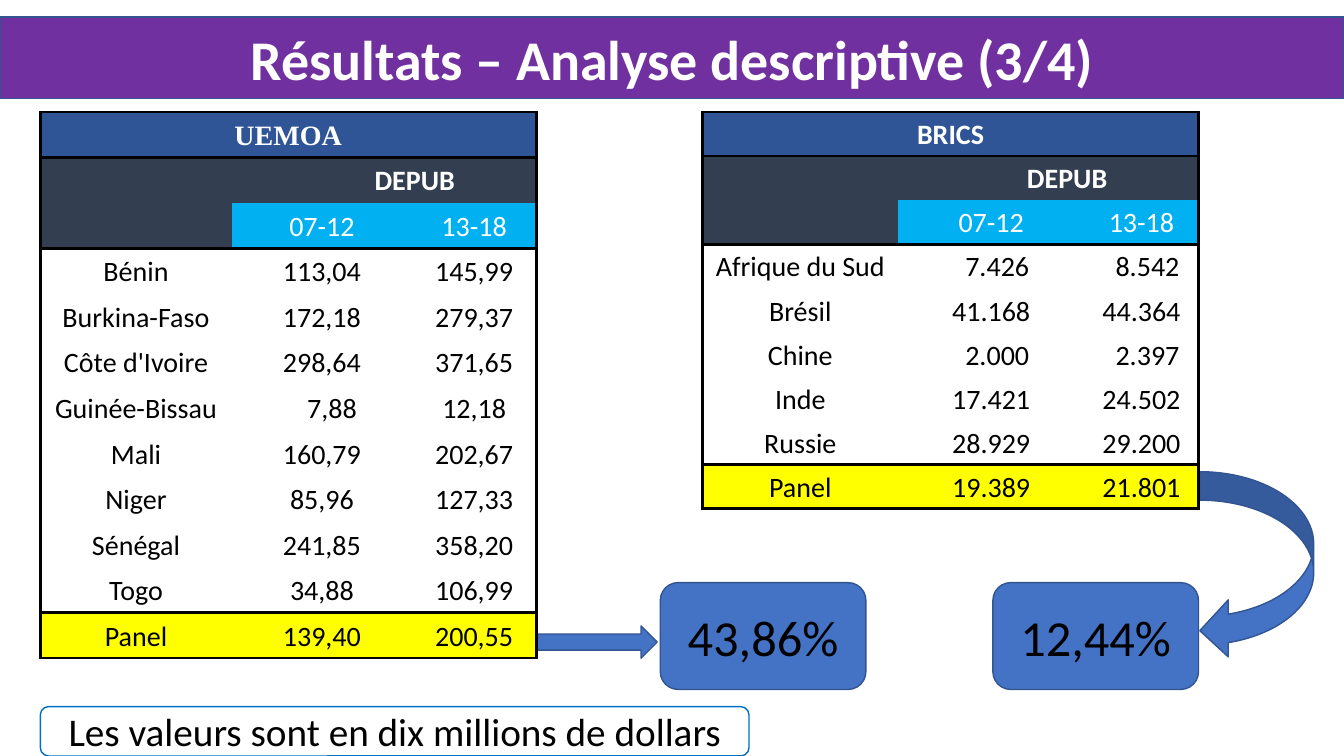
from lxml.etree import SubElement
from pptx import Presentation
from pptx.dml.color import RGBColor
from pptx.enum.shapes import MSO_SHAPE
from pptx.enum.text import MSO_ANCHOR, PP_ALIGN
from pptx.oxml.ns import qn
from pptx.util import Inches, Pt

WIDTH, HEIGHT = Inches(13.33), Inches(7.5)
FONT, SERIF = "Calibri", "Times New Roman"

WHITE = RGBColor(0xFF, 0xFF, 0xFF)
BLACK = RGBColor(0x00, 0x00, 0x00)
PURPLE = RGBColor(0x70, 0x30, 0xA0)
BLUE = RGBColor(0x44, 0x72, 0xC4)
OUTLINE = RGBColor(0x32, 0x54, 0x91)
NOTE_LINE = RGBColor(0x00, 0x70, 0xC0)
HEADING = RGBColor(0x2F, 0x55, 0x97)
SLATE = RGBColor(0x33, 0x3F, 0x50)
CYAN = RGBColor(0x00, 0xB0, 0xF0)
YELLOW = RGBColor(0xFF, 0xFF, 0x00)

PERIODS = ["", "07-12", "13-18"]
UEMOA = [
    ["Bénin", "113,04", "145,99"],
    ["Burkina-Faso", "172,18", "279,37"],
    ["Côte d'Ivoire", "298,64", "371,65"],
    ["Guinée-Bissau", "7,88", "12,18"],
    ["Mali", "160,79", "202,67"],
    ["Niger", "85,96", "127,33"],
    ["Sénégal", "241,85", "358,20"],
    ["Togo", "34,88", "106,99"],
    ["Panel", "139,40", "200,55"],
]
BRICS = [
    ["Afrique du Sud", "7.426", "8.542"],
    ["Brésil", "41.168", "44.364"],
    ["Chine", "2.000", "2.397"],
    ["Inde", "17.421", "24.502"],
    ["Russie", "28.929", "29.200"],
    ["Panel", "19.389", "21.801"],
]


def area(left, top, width, height):
    """Turn percentages of the slide into lengths."""
    return (int(WIDTH * left / 100), int(HEIGHT * top / 100),
            int(WIDTH * width / 100), int(HEIGHT * height / 100))


def write(frame, text, size, color, bold=False, font=FONT):
    para = frame.paragraphs[0]
    para.alignment = PP_ALIGN.CENTER
    span = para.add_run()
    span.text = text
    span.font.name, span.font.size, span.font.bold = font, Pt(size), bold
    span.font.color.rgb = color
    return para


def indent(para, length):
    properties = para._p.get_or_add_pPr()
    properties.set("marL", str(int(length)))
    properties.set("indent", "0")


def paint(shape, fill, line):
    if fill is None:
        shape.fill.background()
    else:
        shape.fill.solid()
        shape.fill.fore_color.rgb = fill
    shape.line.color.rgb = line
    shape.line.width = Pt(1)


def add_title(page, text, place):
    title = page.shapes.title
    title.left, title.top, title.width, title.height = place
    paint(title, PURPLE, OUTLINE)
    title.text_frame.vertical_anchor = MSO_ANCHOR.MIDDLE
    write(title.text_frame, text, 40, WHITE, bold=True)


def add_box(page, kind, place, text="", size=36, fill=BLUE, line=OUTLINE):
    box = page.shapes.add_shape(kind, *place)
    box.shadow.inherit = False
    paint(box, fill, line)
    if text:
        box.text_frame.word_wrap = True
        box.text_frame.vertical_anchor = MSO_ANCHOR.MIDDLE
        write(box.text_frame, text, size, BLACK)


def set_borders(cell, drawn):
    """Draw the named sides in black and clear the others."""
    properties = cell._tc.get_or_add_tcPr()
    for side in "LRTB":
        line = SubElement(properties, qn(f"a:ln{side}"), w=str(Pt(2.25)))
        if side in drawn:
            solid = SubElement(line, qn("a:solidFill"))
            SubElement(solid, qn("a:srgbClr"), val=str(BLACK))
        else:
            SubElement(line, qn("a:noFill"))


def cell_fill(row, column, last):
    if row == 0:
        return HEADING
    if row == 1 or (row == 2 and column == 0):
        return SLATE
    if row == 2:
        return CYAN
    return YELLOW if row == last else None


def add_data_table(page, name, data, place, shares, depub_indent,
                   digit_indent, name_font=FONT):
    rows = [[name, "", ""], ["DEPUB", "", ""], PERIODS, *data]
    last = len(rows) - 1
    table = page.shapes.add_table(len(rows), 3, *place).table
    table.first_row = table.horz_banding = False
    for column, share in zip(table.columns, shares):
        column.width = int(place[2] * share)
    for row in table.rows:
        row.height = place[3] // len(rows)

    # Rules lie under the name, the periods and the last country
    ruled = {0, 2, last - 1, last}
    for r, values in enumerate(rows):
        for c, text in enumerate(values):
            cell = table.cell(r, c)
            # The two merged rows reach the right edge from their first cell
            sides = "L" if c == 0 else ""
            sides += "R" if c == 2 or r < 2 else ""
            sides += "T" if r == 0 or r - 1 in ruled else ""
            sides += "B" if r in ruled else ""
            set_borders(cell, sides)
            fill = cell_fill(r, c, last)
            if fill is None:
                cell.fill.background()
            else:
                cell.fill.solid()
                cell.fill.fore_color.rgb = fill
            cell.vertical_anchor = MSO_ANCHOR.MIDDLE
            cell.margin_left = cell.margin_right = Inches(0.05)
            cell.margin_top = cell.margin_bottom = 0
            if not text:
                continue
            para = write(cell.text_frame, text, 20,
                         WHITE if r < 3 else BLACK, bold=r < 2,
                         font=name_font if r == 0 else FONT)
            para.line_spacing = 1.07
            if r == 1:
                indent(para, place[2] * depub_indent)
            # Single leading digits shift right to line up
            elif text[1] in ",.":
                indent(para, Inches(digit_indent))

    for r in (0, 1):
        table.cell(r, 0).merge(table.cell(r, 2))


def main():
    deck = Presentation()
    deck.slide_width, deck.slide_height = WIDTH, HEIGHT
    page = deck.slides.add_slide(deck.slide_layouts[5])

    # Title band
    add_title(page, "Résultats – Analyse descriptive (3/4)",
              area(0, 2.27, 100, 10.8))

    # Growth rates and the arrows that lead to them
    for left, rate in ((49.13, "43,86%"), (73.88, "12,44%")):
        add_box(page, MSO_SHAPE.ROUNDED_RECTANGLE,
                area(left, 77.07, 15.3, 14.13), rate)
    add_box(page, MSO_SHAPE.RIGHT_ARROW, area(39.9, 82.8, 9, 4.27))
    add_box(page, MSO_SHAPE.CURVED_LEFT_ARROW, area(89.27, 62.4, 8.48, 24.8))

    # Country tables
    add_data_table(page, "UEMOA", UEMOA, area(3, 14.8, 36.9, 72.27),
                   (0.386, 0.364, 0.25), 0.51, 0.2, SERIF)
    add_data_table(page, "BRICS", BRICS, area(52.28, 14.8, 36.9, 52.53),
                   (0.394, 0.376, 0.23), 0.47, 0.12)

    # Unit note
    add_box(page, MSO_SHAPE.ROUNDED_RECTANGLE, area(3, 93.47, 52.73, 6.53),
            "Les valeurs sont en dix millions de dollars", 28, None, NOTE_LINE)

    deck.save("out.pptx")


if __name__ == "__main__":
    main()
